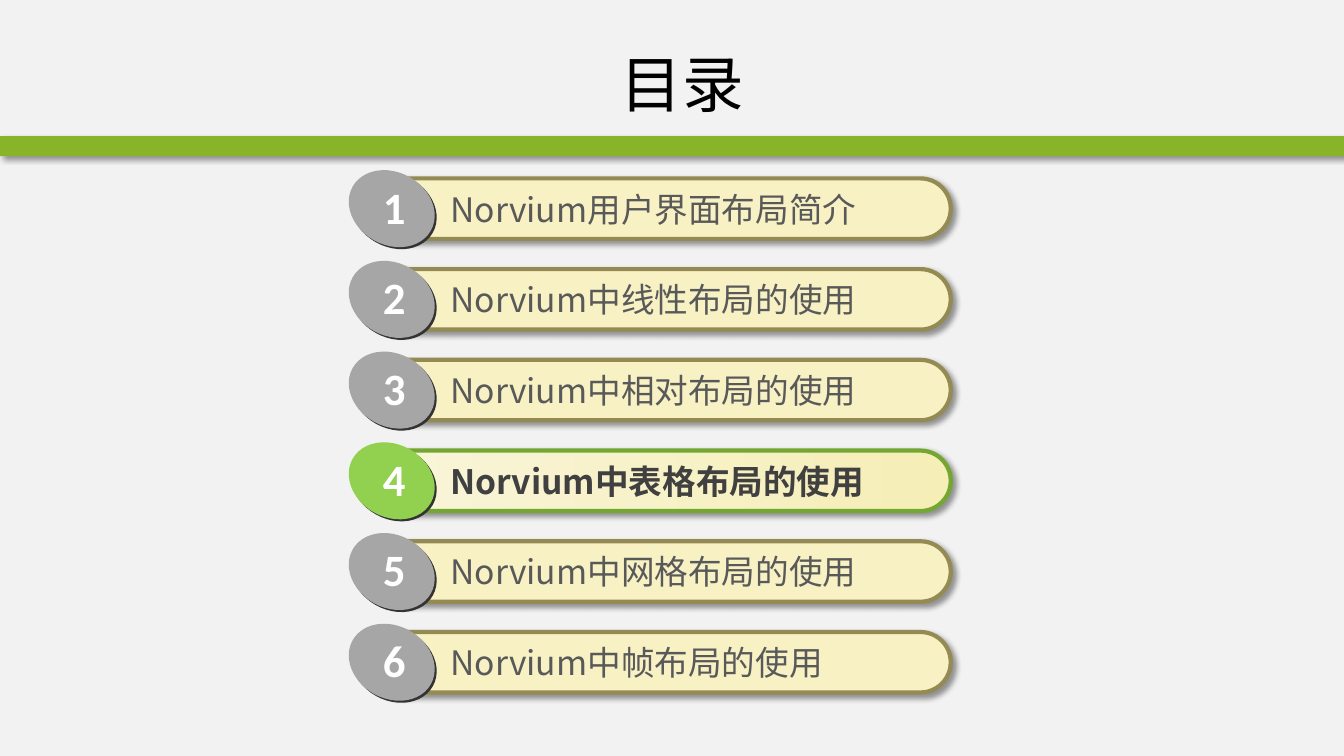
from lxml.etree import SubElement
from pptx import Presentation
from pptx.dml.color import RGBColor
from pptx.enum.shapes import MSO_SHAPE
from pptx.enum.text import MSO_ANCHOR, MSO_AUTO_SIZE, PP_ALIGN
from pptx.oxml.ns import qn
from pptx.util import Inches, Pt

PAPER = RGBColor(0xF2, 0xF2, 0xF2)
BAND = RGBColor(0x88, 0xB4, 0x29)
CREAM = RGBColor(0xF7, 0xF1, 0xC4)
PALE = RGBColor(0xF9, 0xF5, 0xD9)
SAND = RGBColor(0xF5, 0xEE, 0xB7)
OLIVE = RGBColor(0x94, 0x8A, 0x54)
LEAF = RGBColor(0x74, 0xA7, 0x31)
LIME = RGBColor(0x92, 0xD0, 0x50)
GREY = RGBColor(0xA6, 0xA6, 0xA6)
SHADE = RGBColor(0x33, 0x33, 0x33)
DARK = RGBColor(0x40, 0x40, 0x40)
MID = RGBColor(0x59, 0x59, 0x59)
WHITE = RGBColor(0xFF, 0xFF, 0xFF)
BLACK = RGBColor(0, 0, 0)

HAN = "Noto Sans CJK SC"
TOPICS = [
    "Norvium用户界面布局简介",
    "Norvium中线性布局的使用",
    "Norvium中相对布局的使用",
    "Norvium中表格布局的使用",
    "Norvium中网格布局的使用",
    "Norvium中帧布局的使用",
]
ACTIVE = 4


def write(frame, text, size, color, face=HAN, bold=False, align=PP_ALIGN.LEFT, wrap=True):
    """Put one formatted run of text into a text frame."""
    frame.word_wrap = wrap
    para = frame.paragraphs[0]
    para.alignment = align
    run = para.add_run()
    run.text = text
    font = run.font
    font.size, font.bold, font.name = Pt(size), bold, face
    font.color.rgb = color
    SubElement(font._element, qn("a:ea"), typeface=face)


def label(shapes, box, text, **style):
    """Add a text box that grows with its text."""
    frame = shapes.add_textbox(*map(Inches, box)).text_frame
    write(frame, text, **style)
    frame.auto_size = MSO_AUTO_SIZE.SHAPE_TO_FIT_TEXT


def draw(shapes, kind, box, color):
    """Add a flat shape without a line."""
    shape = shapes.add_shape(kind, *map(Inches, box))
    shape.shadow.inherit = False
    shape.fill.solid()
    shape.fill.fore_color.rgb = color
    shape.line.fill.background()
    return shape


def shadow(shape):
    """Give a shape a soft shadow to the lower right."""
    effects = shape._element.spPr.find(qn("a:effectLst"))
    outer = SubElement(effects, qn("a:outerShdw"), blurRad=str(Pt(4)), dist=str(Pt(3)),
                       dir="2700000", algn="tl", rotWithShape="0")
    tone = SubElement(outer, qn("a:srgbClr"), val="000000")
    SubElement(tone, qn("a:alpha"), val="40000")


def header(slide, top, wide):
    """Place the title and the green band below it."""
    shadow(draw(slide.shapes, MSO_SHAPE.RECTANGLE, (0, top + 1.05, wide, 0.2), BAND))
    title = slide.shapes.title
    title.left, title.top = Inches(1.39), Inches(top)
    title.width, title.height = Inches(10.76), Inches(1.05)
    title.text_frame.vertical_anchor = MSO_ANCHOR.MIDDLE
    write(title.text_frame, "目录", 44, BLACK, align=PP_ALIGN.CENTER)


def entry(slide, left, top, number, topic):
    """Place one numbered topic bar as a group."""
    active = number == ACTIVE
    shapes = slide.shapes.add_group_shape().shapes
    bar = draw(shapes, MSO_SHAPE.ROUNDED_RECTANGLE, (left + 0.22, top + 0.06, 5.77, 0.6), CREAM)
    bar.adjustments[0] = 0.5
    bar.line.color.rgb = LEAF if active else OLIVE
    bar.line.width = Pt(3)
    shadow(bar)
    if active:
        bar.fill.gradient()
        bar.fill.gradient_angle = 0
        for stop, color in zip(bar.fill.gradient_stops, (PALE, SAND)):
            stop.color.rgb = color
    label(shapes, (left + 0.93, top + 0.11, 4.59, 0.51), topic,
          size=24, color=DARK if active else MID, bold=active)
    for shift, color in ((0.02, SHADE), (0, LIME if active else GREY)):
        disc = draw(shapes, MSO_SHAPE.OVAL, (left + shift, top + shift, 0.89, 0.72), color)
        disc.rotation = 29.3
    label(shapes, (left + 0.26, top + 0.02, 0.43, 0.64), str(number),
          size=32, color=WHITE, face="Calibri", bold=True, wrap=False)


def agenda(slide, left, top, pitch):
    """Stack the topic bars at an even pitch."""
    for number, topic in enumerate(TOPICS, 1):
        entry(slide, left, top + (number - 1) * pitch, number, topic)


def main():
    """Build and save the agenda slide."""
    deck = Presentation()
    deck.slide_width, deck.slide_height = Inches(13.33), Inches(7.5)
    slide = deck.slides.add_slide(deck.slide_layouts[5])
    slide.background.fill.solid()
    slide.background.fill.fore_color.rgb = PAPER
    header(slide, 0.3, 13.33)
    agenda(slide, 3.44, 1.71, 0.9)
    deck.save("out.pptx")


if __name__ == "__main__":
    main()
